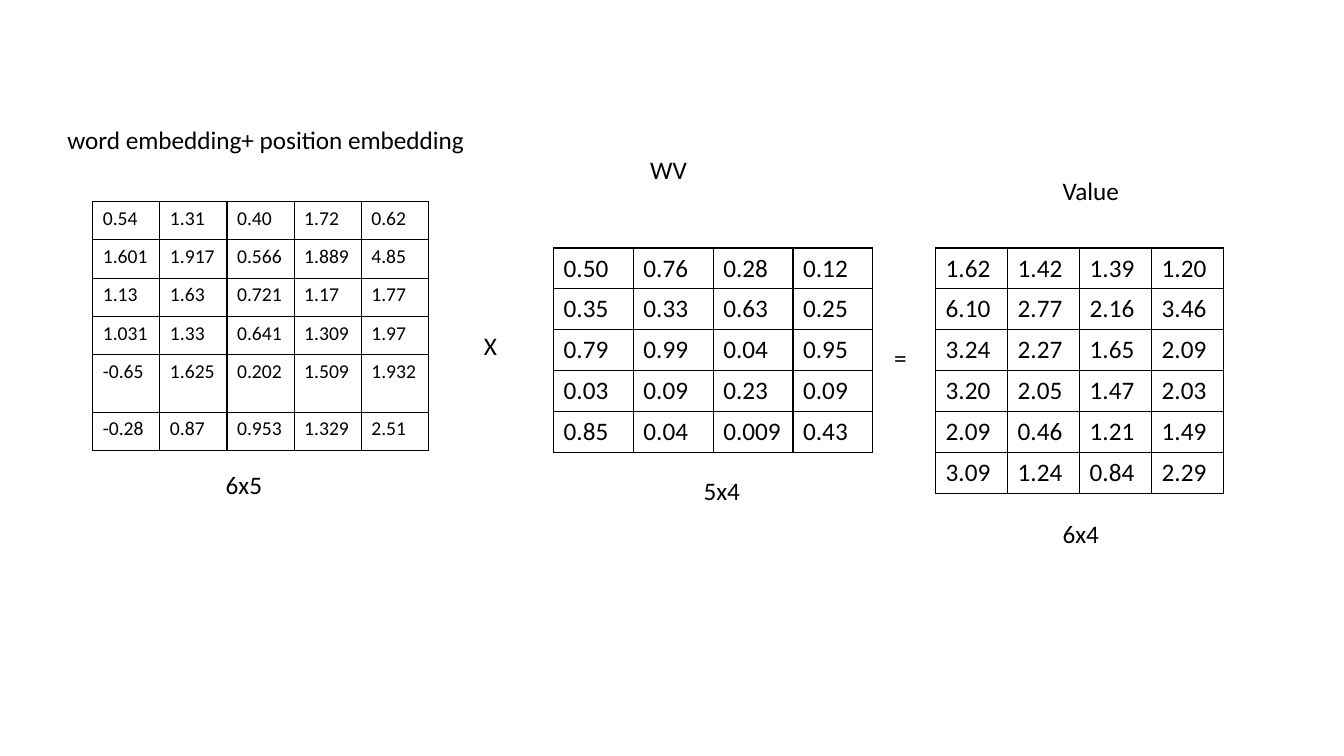
from dataclasses import dataclass

from lxml.etree import SubElement
from pptx import Presentation
from pptx.dml.color import RGBColor
from pptx.enum.text import MSO_AUTO_SIZE
from pptx.oxml.ns import qn
from pptx.slide import Slide
from pptx.table import _Cell
from pptx.text.text import _Paragraph
from pptx.util import Inches, Length, Pt

BLACK = RGBColor(0x00, 0x00, 0x00)
FONT_FORMAT = {"name": "Calibri", "color": BLACK}
LABEL_SIZE = 18
LABEL_ROWS = 4
BORDER_WIDTH = Pt(1)


def grid(units: float) -> Length:
    """Ten grid columns or rows make one inch."""
    return Inches(units / 10)


@dataclass(frozen=True)
class Matrix:
    column: float
    row: float
    cell_width: float
    row_heights: list[float]
    font_size: int
    values: str


@dataclass(frozen=True)
class Label:
    text: str
    column: float
    row: float
    width: float


MATRICES = [
    Matrix(9.2, 20, 6.66, [3.8] * 4 + [5.7, 3.8], 14, """
        0.54 1.31 0.40 1.72 0.62
        1.601 1.917 0.566 1.889 4.85
        1.13 1.63 0.721 1.17 1.77
        1.031 1.33 0.641 1.309 1.97
        -0.65 1.625 0.202 1.509 1.932
        -0.28 0.87 0.953 1.329 2.51"""),
    Matrix(54.9, 24.6, 7.92, [4] * 5, 18, """
        0.50 0.76 0.28 0.12
        0.35 0.33 0.63 0.25
        0.79 0.99 0.04 0.95
        0.03 0.09 0.23 0.09
        0.85 0.04 0.009 0.43"""),
    Matrix(92.8, 24.6, 7.14, [4] * 6, 18, """
        1.62 1.42 1.39 1.20
        6.10 2.77 2.16 3.46
        3.24 2.27 1.65 2.09
        3.20 2.05 1.47 2.03
        2.09 0.46 1.21 1.49
        3.09 1.24 0.84 2.29"""),
]

LABELS = [
    # Names
    Label("word embedding+ position embedding", 5.7, 11.8, 43.3),
    Label("WV", 63.5, 14.8, 5.7),
    Label("Value", 104.4, 16.9, 7.7),
    # Operators
    Label("X", 47, 32.3, 3.3),
    Label("=", 87.7, 33.5, 3.3),
    # Dimensions
    Label("6x5", 21.4, 46.1, 5.7),
    Label("5x4", 68.8, 46.7, 5.7),
    Label("6x4", 104.4, 50.9, 5.7),
]


def write(paragraph: _Paragraph, text: str, size: int) -> None:
    run = paragraph.add_run()
    run.text = text
    run.font.size = Pt(size)
    for name, value in FONT_FORMAT.items():
        if name == "color":
            run.font.color.rgb = value
        else:
            setattr(run.font, name, value)


def add_borders(cell: _Cell) -> None:
    properties = cell._tc.get_or_add_tcPr()
    for side in ("lnL", "lnR", "lnT", "lnB"):
        line = SubElement(properties, qn(f"a:{side}"), w=str(BORDER_WIDTH))
        fill = SubElement(line, qn("a:solidFill"))
        SubElement(fill, qn("a:srgbClr"), val=str(BLACK))


def add_matrix(slide: Slide, matrix: Matrix) -> None:
    rows = [line.split() for line in matrix.values.strip().splitlines()]
    column_count = len(rows[0])
    table = slide.shapes.add_table(
        len(rows), column_count, grid(matrix.column), grid(matrix.row),
        grid(matrix.cell_width * column_count), grid(sum(matrix.row_heights)),
    ).table
    table.first_row = table.horz_banding = False
    for column in table.columns:
        column.width = grid(matrix.cell_width)
    for row, height, values in zip(table.rows, matrix.row_heights, rows):
        row.height = grid(height)
        for cell, value in zip(row.cells, values):
            write(cell.text_frame.paragraphs[0], value, matrix.font_size)
            add_borders(cell)
            cell.fill.background()


def add_label(slide: Slide, label: Label) -> None:
    text_frame = slide.shapes.add_textbox(
        grid(label.column), grid(label.row), grid(label.width), grid(LABEL_ROWS)
    ).text_frame
    text_frame.word_wrap = False
    text_frame.auto_size = MSO_AUTO_SIZE.SHAPE_TO_FIT_TEXT
    write(text_frame.paragraphs[0], label.text, LABEL_SIZE)


def main() -> None:
    presentation = Presentation()
    presentation.slide_width = Inches(13.33)
    presentation.slide_height = Inches(7.5)
    slide = presentation.slides.add_slide(presentation.slide_layouts[6])
    for matrix in MATRICES:
        add_matrix(slide, matrix)
    for label in LABELS:
        add_label(slide, label)
    presentation.save("out.pptx")


if __name__ == "__main__":
    main()
